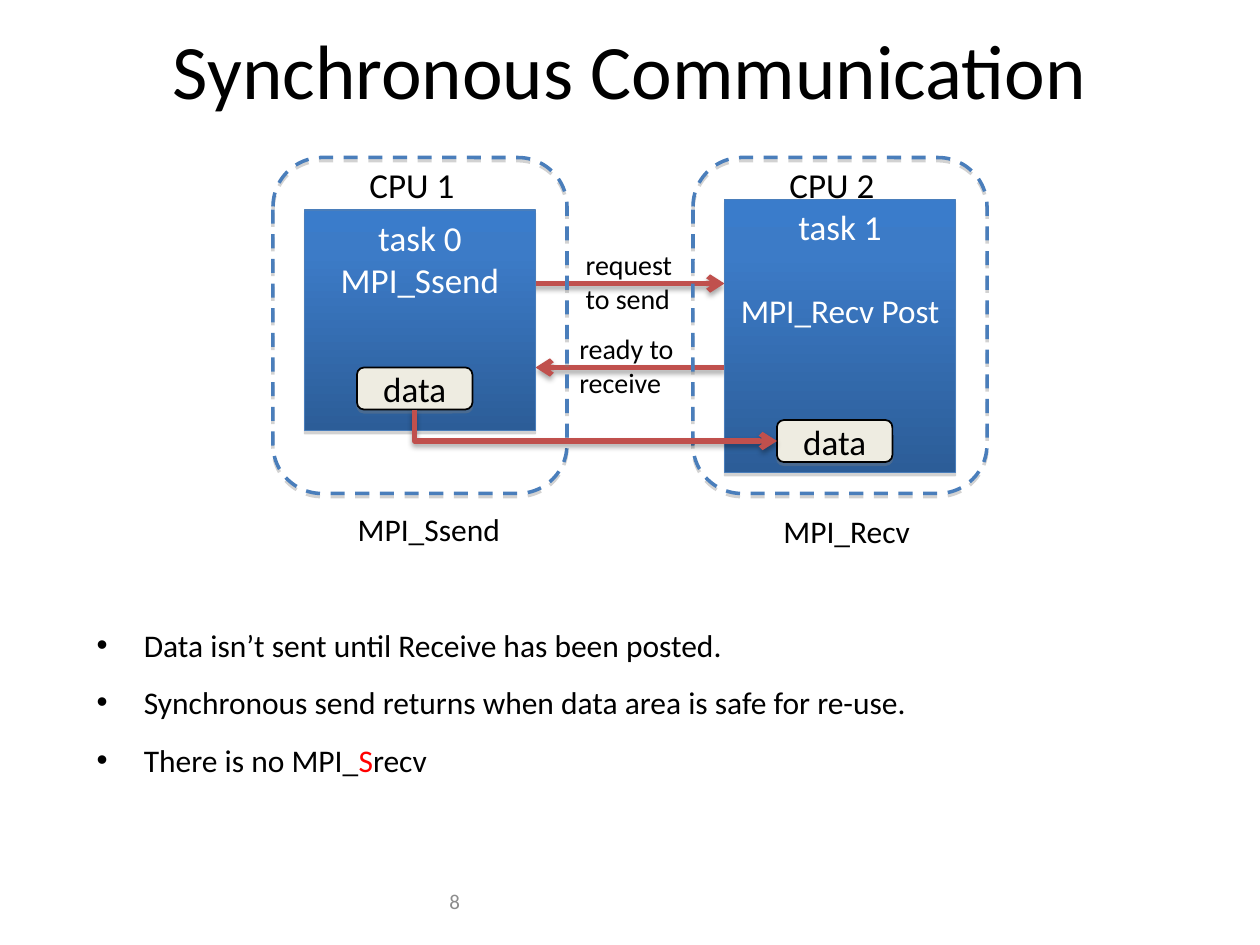
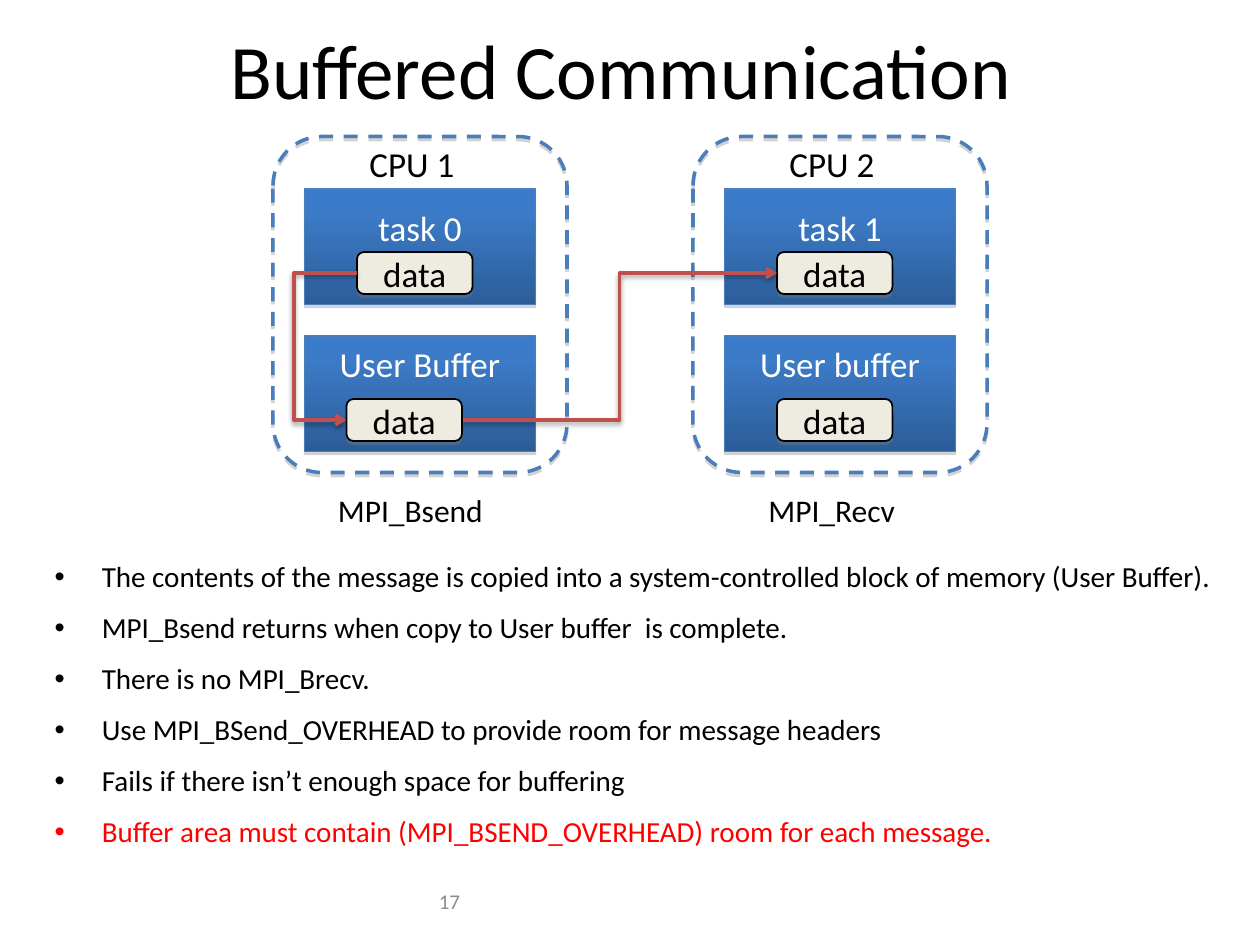
"""Build two slides on MPI communication modes."""
from copy import deepcopy

from lxml import etree
from pptx import Presentation
from pptx import util as u
from pptx.dml.color import RGBColor
from pptx.enum import dml, shapes, text
from pptx.oxml.ns import qn

COLORS = {
    "ink": "000000", "white": "FFFFFF", "red": "FF0000", "grey": "8C8C8C",
    "edge": "4A7EBB", "top": "3A7CCB", "upper": "3C7BC7", "bottom": "2C5D98",
    "data": "EEECE1", "arrow": "C0504D", "shade": "808080",
}
FONT = "Calibri"
SHAPE = shapes.MSO_SHAPE
LINE = shapes.MSO_CONNECTOR
ANCHOR = text.MSO_ANCHOR
CENTER, RIGHT = text.PP_ALIGN.CENTER, text.PP_ALIGN.RIGHT
CPU_X = (156, 396)
CPU_W, CPU_H = 168, 192
TASK_W, DATA_W, DATA_H = 132, 66, 24


def rgb(name):
    return RGBColor.from_string(COLORS[name])


def pts(*values):
    return [u.Pt(v) for v in values]


def write(tf, paras, size=18, color="ink", align=None, before=None, spacing=None):
    """Fill a text frame; a paragraph is a string or a list of (text, format) runs."""
    for i, para in enumerate(paras):
        p = tf.add_paragraph() if i else tf.paragraphs[0]
        p.alignment = align
        if before is not None:
            p.space_before = u.Pt(before)
        if spacing:
            p.line_spacing = spacing
        runs = [(para, {})] if isinstance(para, str) else para
        for content, fmt in runs:
            r = p.add_run()
            r.text = content
            r.font.name = FONT
            r.font.size = u.Pt(fmt.get("size", size))
            r.font.color.rgb = rgb(fmt.get("color", color))


class Deck:
    """Hold the style and the current slide, with a method per kind of element."""

    def __init__(self):
        self.prs = Presentation()
        self.prs.slide_width, self.prs.slide_height = pts(720, 540)
        self.s = None

    def slide(self, title, number):
        self.s = self.prs.slides.add_slide(self.prs.slide_layouts[1])
        sp = self.s.shapes.title
        self.place(sp, 54, 0, 612, 78)
        sp.text_frame.vertical_anchor = ANCHOR.MIDDLE
        write(sp.text_frame, [title], size=44, align=CENTER)
        sp = self.s.shapes.add_textbox(*pts(102, 500.4, 168, 28.8))
        sp.text_frame.word_wrap = True
        sp.text_frame.vertical_anchor = ANCHOR.MIDDLE
        write(sp.text_frame, [number], size=12, color="grey", align=RIGHT)

    def place(self, sp, *box):
        sp.left, sp.top, sp.width, sp.height = pts(*box)

    def bullets(self, box, paras, **fmt):
        sp = self.s.placeholders[1]
        self.place(sp, *box)
        write(sp.text_frame, paras, before=11.2, **fmt)

    def label(self, x, y, w, h, *paras, size=18):
        tf = self.s.shapes.add_textbox(*pts(x, y, w, h)).text_frame
        tf.word_wrap = False
        tf.auto_size = text.MSO_AUTO_SIZE.SHAPE_TO_FIT_TEXT
        write(tf, paras, size=size)

    def shadow(self, sp, color="shade", alpha=35, blur=0, dist=1.8):
        spPr = sp._element.spPr
        effects = spPr.find(qn("a:effectLst"))
        if effects is None:
            effects = etree.SubElement(spPr, qn("a:effectLst"))
        shade = etree.SubElement(
            effects, qn("a:outerShdw"), blurRad=str(u.Pt(blur)),
            dist=str(u.Pt(dist)), dir="5400000", rotWithShape="0")
        clr = etree.SubElement(shade, qn("a:srgbClr"), val=COLORS[color])
        etree.SubElement(clr, qn("a:alpha"), val=str(alpha * 1000))

    def shape(self, kind, box, line, width):
        sp = self.s.shapes.add_shape(kind, *pts(*box))
        sp.line.color.rgb = rgb(line)
        sp.line.width = u.Pt(width)
        sp.shadow.inherit = False
        self.shadow(sp)
        return sp

    def cpu(self, x, y):
        sp = self.shape(SHAPE.ROUNDED_RECTANGLE, (x, y, CPU_W, CPU_H), "edge", 2)
        sp.fill.background()
        sp.line.dash_style = dml.MSO_LINE.DASH

    def task(self, x, y, h, *paras, anchor=ANCHOR.TOP, bottom=3.6):
        sp = self.shape(SHAPE.RECTANGLE, (x, y, TASK_W, h), "edge", 0.75)
        sp.fill.gradient()
        sp.fill.gradient_angle = 270
        stops = sp._element.spPr.find(".//" + qn("a:gsLst"))
        stops.append(deepcopy(stops[0]))
        marks = ((0, "top"), (0.2, "upper"), (1, "bottom"))
        for stop, (position, color) in zip(sp.fill.gradient_stops, marks):
            stop.position = position
            stop.color.rgb = rgb(color)
        tf = sp.text_frame
        tf.vertical_anchor = anchor
        tf.margin_bottom = u.Pt(bottom)
        write(tf, paras, size=20, color="white", align=CENTER)
        return tf

    def data(self, x, y):
        box = (x, y, DATA_W, DATA_H)
        sp = self.shape(SHAPE.ROUNDED_RECTANGLE, box, "ink", 1)
        sp.fill.solid()
        sp.fill.fore_color.rgb = rgb("data")
        sp.text_frame.vertical_anchor = ANCHOR.MIDDLE
        write(sp.text_frame, ["data"], size=20, align=CENTER)

    def arrow(self, kind, *ends, width=3, alpha=35, dist=1.8, bend=None):
        c = self.s.shapes.add_connector(kind, *pts(*ends))
        c.line.color.rgb = rgb("arrow")
        c.line.width = u.Pt(width)
        spPr = c._element.spPr
        etree.SubElement(spPr.find(qn("a:ln")), qn("a:tailEnd"), type="arrow")
        self.shadow(c, "ink", alpha, 3.1, dist)
        if bend is not None:
            guides = spPr.find(qn("a:prstGeom")).get_or_add_avLst()
            etree.SubElement(guides, qn("a:gd"), name="adj1",
                             fmla=f"val {round(bend * 100000)}")
        return c

    def corner(self, x1, y1, x2, y2):
        """Draw an arrow that runs down from its start and then right to its end."""
        w, h = y2 - y1, x2 - x1
        left, top = (x1 + x2 - w) / 2, (y1 + y2 - h) / 2
        c = self.arrow(LINE.ELBOW, left + w, top, left, top + h)
        spPr = c._element.spPr
        spPr.find(qn("a:xfrm")).set("rot", "16200000")
        spPr.find(qn("a:prstGeom")).set("prst", "bentConnector2")

    def cpu_names(self, y):
        for i, x in enumerate(CPU_X, 1):
            self.label(x + 48, y, 63.4, 31.5, f"CPU {i}", size=20)


def synchronous(d):
    left, right = CPU_X
    d.slide("Synchronous Communication", "8")
    d.bullets((48, 354, 612, 132), [
        "Data isn’t sent until Receive has been posted.",
        "Synchronous send returns when data area is safe for re-use.",
        [("There is no MPI_", {}), ("S", {"color": "red"}), ("recv", {})],
    ])
    d.arrow(LINE.STRAIGHT, 300, 162, 414, 162)
    d.arrow(LINE.STRAIGHT, 414, 210, 306, 210)
    d.label(327.6, 138, 68.4, 46, "request", "to send", size=16)
    d.label(324, 186, 72.7, 46, "ready to", "receive", size=16)
    d.label(197.3, 288, 96.5, 28.8, "MPI_Ssend")
    d.label(440.6, 289, 87.8, 28.8, "MPI_Recv")
    for x in CPU_X:
        d.cpu(x, 90)
    d.task(left + 18, 120, 126, "task 0", "MPI_Ssend")
    d.data(left + 48, 210)
    tf = d.task(right + 18, 114, 156, "task 1", [("MPI_Recv Post", {"size": 19})])
    tf.paragraphs[1].space_before = u.Pt(24.4)
    d.data(right + 48, 240)
    d.corner(237, 234, 444, 252)
    d.cpu_names(90)


def buffered(d):
    left, right = CPU_X
    d.slide("Buffered Communication ", "17")
    d.bullets((24, 318, 696, 179), [
        "The contents of the message is copied into a system-controlled block "
        "of memory (User Buffer).",
        "MPI_Bsend returns when copy to User buffer  is complete.",
        "There is no MPI_Brecv.",
        "Use MPI_BSend_OVERHEAD to provide room for message headers",
        "Fails if there isn’t enough space for buffering",
        [("Buffer area must contain (MPI_BSEND_OVERHEAD) room for each message.",
          {"color": "red"})],
    ], size=16.6, spacing=0.9)
    for x in CPU_X:
        d.cpu(x, 78)
    names = (("task 0", "User Buffer"), ("task 1", "User buffer"))
    for x, (task, buffer) in zip(CPU_X, names):
        d.task(x + 18, 108, 66, task, anchor=ANCHOR.MIDDLE, bottom=25.6)
        d.data(x + 48, 144)
        d.task(x + 18, 192, 66, buffer)
    d.data(right + 48, 228)
    thin = {"width": 2, "alpha": 38, "dist": 1.6}
    d.arrow(LINE.ELBOW, 204, 156, 198, 240, bend=6, **thin)
    d.arrow(LINE.ELBOW, 264, 240, 444, 156, bend=0.5, **thin)
    d.cpu_names(78)
    d.data(left + 42, 228)
    d.label(186, 277, 97.9, 28.8, "MPI_Bsend")
    d.label(432, 277, 87.8, 28.8, "MPI_Recv")


deck = Deck()
synchronous(deck)
buffered(deck)
deck.prs.save("out.pptx")
